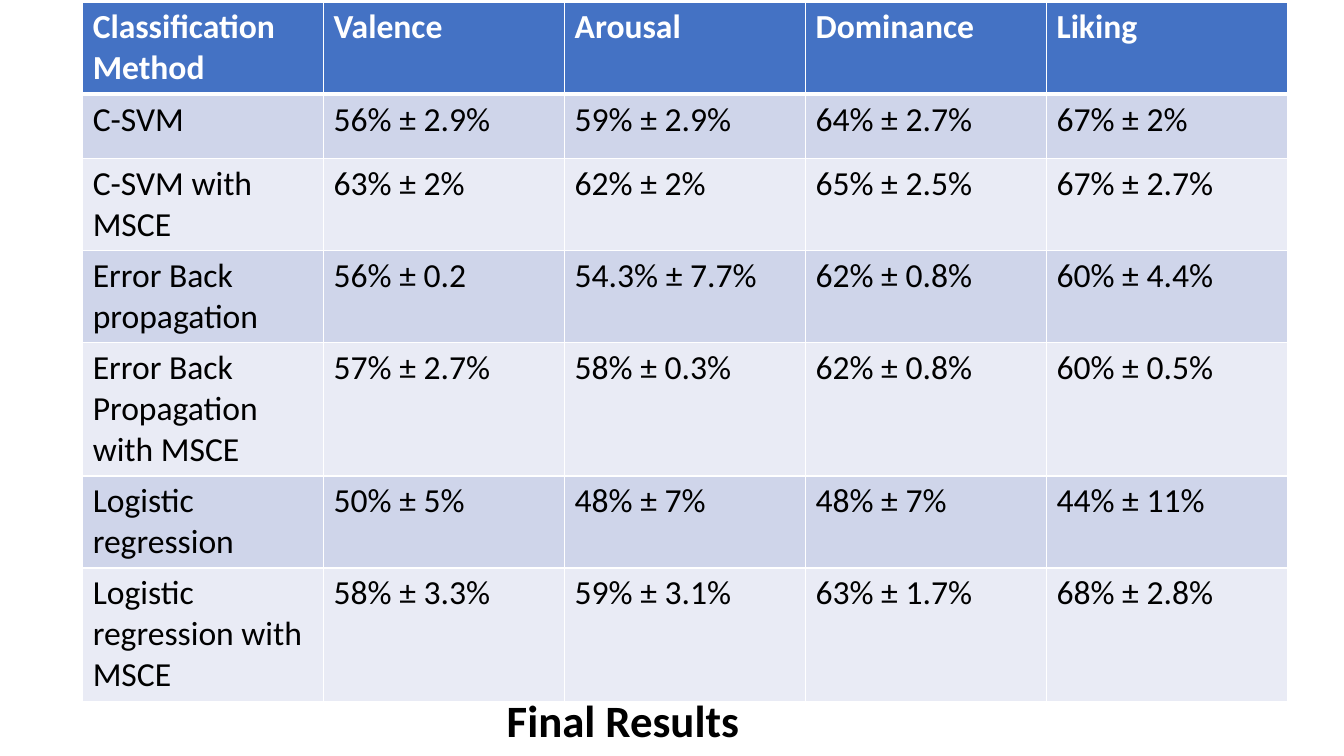
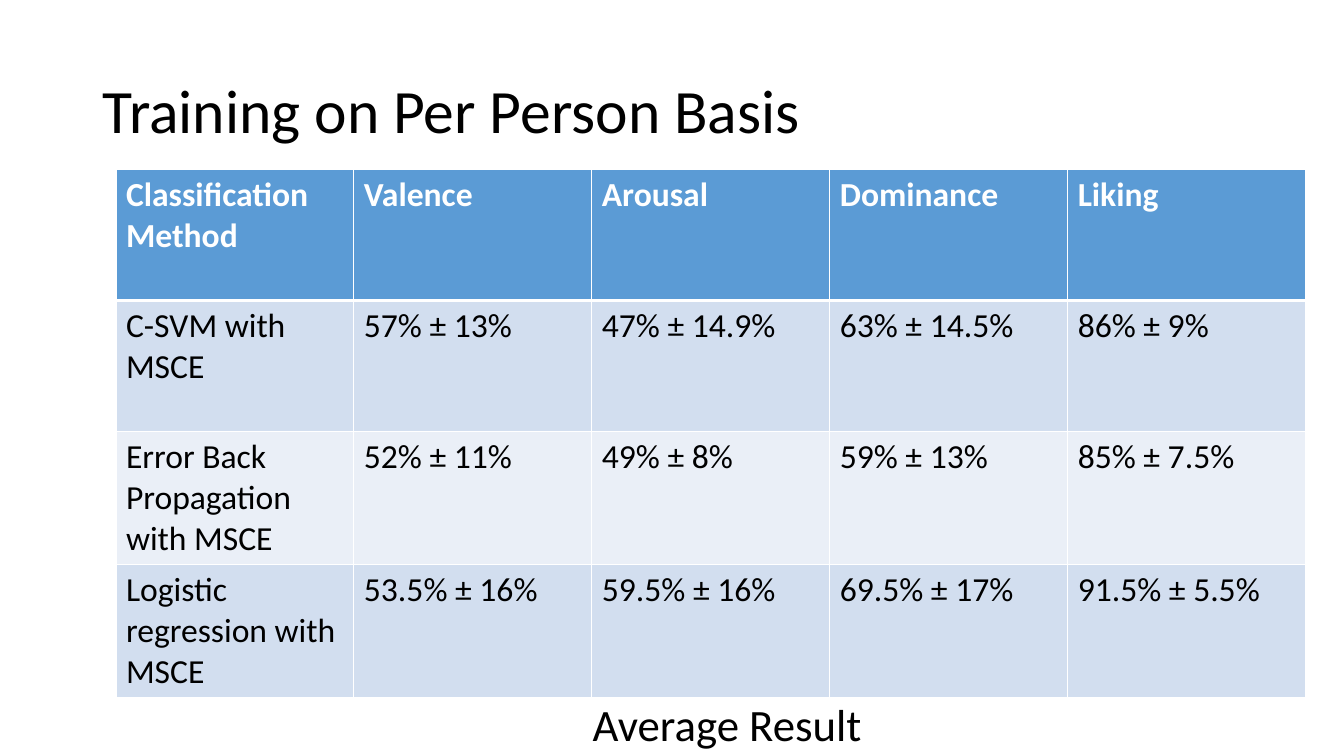
from pptx import Presentation
from pptx.dml.color import RGBColor
from pptx.enum.text import MSO_ANCHOR, MSO_AUTO_SIZE, PP_ALIGN
from pptx.oxml import parse_xml
from pptx.oxml.ns import nsdecls
from pptx.util import Inches, Pt

FONT = "Calibri"
WHITE = "FFFFFF"
BLACK = "000000"
HEADINGS = ["Classification Method", "Valence", "Arousal", "Dominance", "Liking"]
HEADER_LINES = 3
HAIRLINE = 1


def format_text(text_frame, size, color=BLACK, bold=False):
    for paragraph in text_frame.paragraphs:
        for run in paragraph.runs:
            run.font.name = FONT
            run.font.size = Pt(size)
            run.font.bold = bold
            run.font.color.rgb = RGBColor.from_string(color)


def add_border(cell, side, width):
    cell._tc.get_or_add_tcPr().append(parse_xml(
        f'<a:ln{side} {nsdecls("a")} w="{Pt(width)}"><a:solidFill>'
        f'<a:srgbClr val="{WHITE}"/></a:solidFill></a:ln{side}>'))


presentation = Presentation()
presentation.slide_width = Inches(13.33)
presentation.slide_height = Inches(7.5)
TITLE_ONLY, BLANK = presentation.slide_layouts[5], presentation.slide_layouts[6]

pages = [
    {
        "title": None,
        "table_at": (0.82, 0.02),
        "column_width": 2.39,
        "row_heights": [0.83, 0.64, 0.83, 0.83, 1.21, 0.83, 1.21],
        "fills": ("4472C4", "CFD5EA", "E9EBF5"),
        "rows": [
            ["C-SVM", "56% ± 2.9%", "59% ± 2.9%", "64% ± 2.7%", "67% ± 2%"],
            ["C-SVM with MSCE", "63% ± 2%", "62% ± 2%", "65% ± 2.5%", "67% ± 2.7%"],
            ["Error Back propagation", "56% ± 0.2", "54.3% ± 7.7%", "62% ± 0.8%", "60% ± 4.4%"],
            ["Error Back\nPropagation with MSCE", "57% ± 2.7%", "58% ± 0.3%", "62% ± 0.8%", "60% ± 0.5%"],
            ["Logistic regression", "50% ± 5%", "48% ± 7%", "48% ± 7%", "44% ± 11%"],
            ["Logistic regression with MSCE", "58% ± 3.3%", "59% ± 3.1%", "63% ± 1.7%", "68% ± 2.8%"],
        ],
        "caption": "Final Results",
        "caption_at": (3.33, 6.82, 5.7, 0.64),
        "caption_bold": True,
        "caption_align": PP_ALIGN.CENTER,
    },
    {
        "title": "Training on Per Person Basis",
        "table_at": (1.15, 1.68),
        "column_width": 2.36,
        "row_heights": [1.3] * 4,
        "fills": ("5B9BD5", "D2DEEF", "EAEFF7"),
        "rows": [
            ["C-SVM with MSCE", "57% ± 13%", "47% ± 14.9%", "63% ± 14.5%", "86% ± 9%"],
            ["Error Back\nPropagation with MSCE", "52% ± 11%", "49% ± 8%", "59% ± 13%", "85% ± 7.5%"],
            ["Logistic regression with MSCE", "53.5% ± 16%", "59.5% ± 16%", "69.5% ± 17%", "91.5% ± 5.5%"],
        ],
        "caption": "Average Result",
        "caption_at": (5.78, 6.86, 4.1, 0.64),
        "caption_bold": False,
        "caption_align": PP_ALIGN.LEFT,
    },
]

for page in pages:
    slide = presentation.slides.add_slide(TITLE_ONLY if page["title"] else BLANK)

    if page["title"]:
        title = slide.shapes.title
        title.left, title.top = Inches(0.92), Inches(0.4)
        title.width, title.height = Inches(11.5), Inches(1.45)
        title.text_frame.text = page["title"]
        title.text_frame.vertical_anchor = MSO_ANCHOR.MIDDLE
        title.text_frame.paragraphs[0].alignment = PP_ALIGN.LEFT
        title.text_frame.paragraphs[0].line_spacing = 0.9
        format_text(title.text_frame, 44)

    rows = [HEADINGS] + page["rows"]
    left, top = page["table_at"]
    table = slide.shapes.add_table(
        len(rows), len(HEADINGS), Inches(left), Inches(top),
        Inches(page["column_width"] * len(HEADINGS)), Inches(sum(page["row_heights"]))).table
    for column in table.columns:
        column.width = Inches(page["column_width"])
    header_fill, *band_fills = page["fills"]
    for row_index, values in enumerate(rows):
        table.rows[row_index].height = Inches(page["row_heights"][row_index])
        is_header = row_index == 0
        fill = header_fill if is_header else band_fills[(row_index - 1) % 2]
        for column_index, value in enumerate(values):
            cell = table.cell(row_index, column_index)
            cell.text_frame.text = value
            format_text(cell.text_frame, 24, WHITE if is_header else BLACK, is_header)
            add_border(cell, "L", HAIRLINE)
            add_border(cell, "R", HAIRLINE)
            add_border(cell, "T", HEADER_LINES if row_index == 1 else HAIRLINE)
            add_border(cell, "B", HEADER_LINES if is_header else HAIRLINE)
            cell.fill.solid()
            cell.fill.fore_color.rgb = RGBColor.from_string(fill)

    caption = slide.shapes.add_textbox(*map(Inches, page["caption_at"])).text_frame
    caption.word_wrap = True
    caption.auto_size = MSO_AUTO_SIZE.SHAPE_TO_FIT_TEXT
    caption.text = page["caption"]
    caption.paragraphs[0].alignment = page["caption_align"]
    format_text(caption, 32, bold=page["caption_bold"])

presentation.save("out.pptx")
